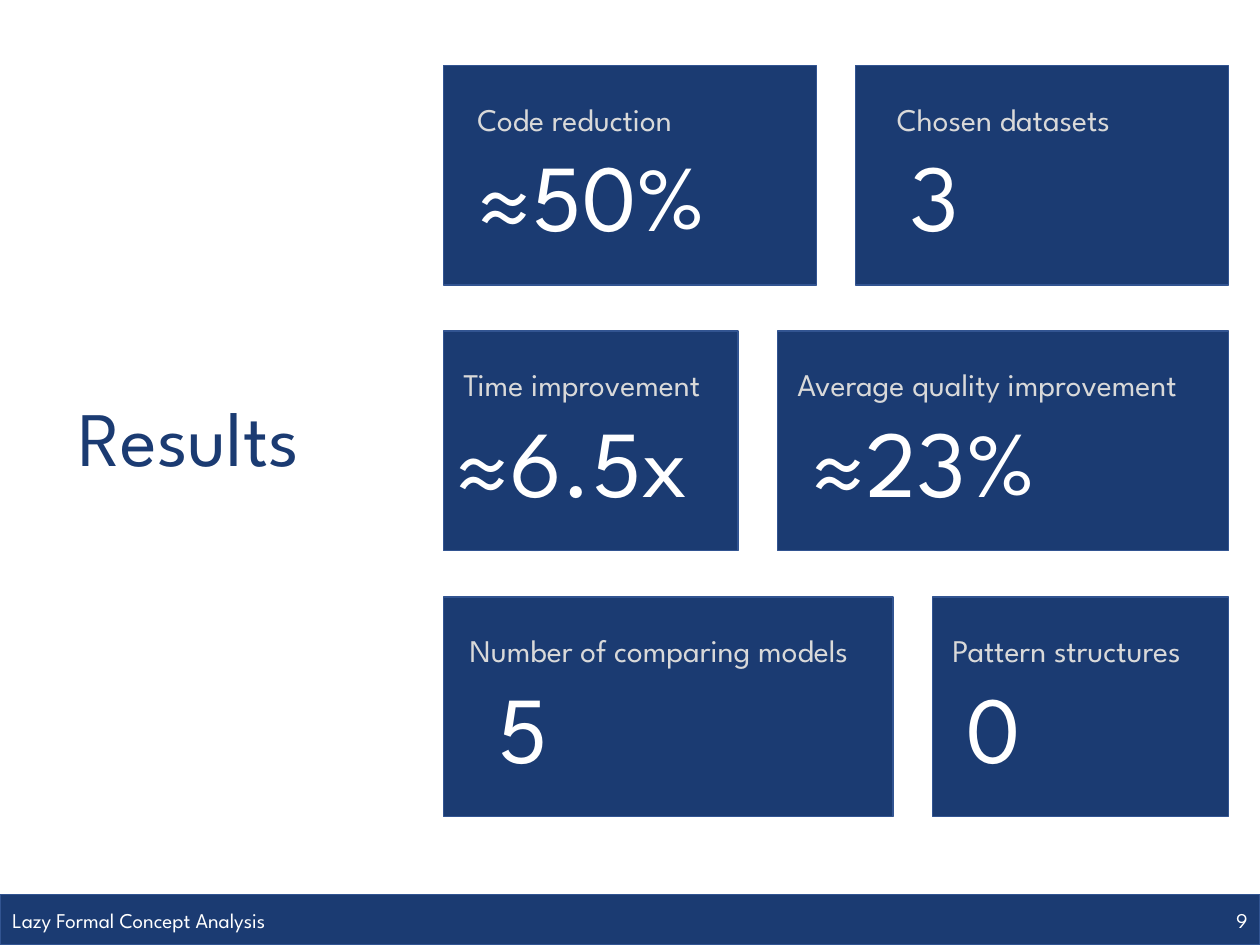
from pptx import Presentation
from pptx.dml.color import RGBColor
from pptx.enum.shapes import MSO_SHAPE
from pptx.enum.text import MSO_ANCHOR, PP_ALIGN
from pptx.util import Inches, Pt

RECTANGLE = MSO_SHAPE.RECTANGLE
MIDDLE = MSO_ANCHOR.MIDDLE
LEFT, RIGHT = PP_ALIGN.LEFT, PP_ALIGN.RIGHT

COLOURS = {"navy": "1B3B72", "edge": "325491", "label": "D9D9D9", "white": "FFFFFF"}
FONT = "League Spartan"
TITLE_ONLY = 5

GRID_LEFT, GRID_TOP, GRID_WIDTH = 3.52, 0.52, 6.23
CARD_HEIGHT, ROW_STEP, GAP = 1.74, 2.11, 0.31

# Each card: label, label indent, figure, figure indent
ROWS = [
    (2.96, [("Code reduction", 0.17, "≈50%", 0.17),
            ("Chosen datasets", 0.23, "3", 0.34)]),
    (2.34, [("Time improvement", 0.06, "≈6.5x", 0),
            ("Average quality improvement", 0.06, "≈23%", 0.17)]),
    (3.57, [("Number of comparing models", 0.11, "5", 0.34),
            ("Pattern structures", 0.06, "0", 0.17)]),
]


class SlideBuilder:
    def __init__(self, page):
        self.page = page

    def colour(self, name):
        return RGBColor.from_string(COLOURS[name])

    def style(self, para, size, colour, align=LEFT, indent=0):
        para.alignment = align
        para.font.name = FONT
        para.font.size = Pt(size)
        para.font.color.rgb = self.colour(colour)
        if indent:
            para._p.get_or_add_pPr().set("marL", str(Inches(indent)))

    def title(self, text, left, top, width, height):
        box = self.page.shapes.title
        box.left, box.top = Inches(left), Inches(top)
        box.width, box.height = Inches(width), Inches(height)
        frame = box.text_frame
        frame.text = text
        frame.vertical_anchor = MIDDLE
        para = frame.paragraphs[0]
        para.line_spacing = 0.9
        self.style(para, 44, "navy")

    def panel(self, left, top, width, height):
        box = self.page.shapes.add_shape(
            RECTANGLE, Inches(left), Inches(top), Inches(width), Inches(height))
        box.shadow.inherit = False
        box.fill.solid()
        box.fill.fore_color.rgb = self.colour("navy")
        box.line.color.rgb = self.colour("edge")
        box.line.width = Pt(1)
        return box

    def card(self, left, top, width, label, label_indent, figure, figure_indent):
        frame = self.panel(left, top, width, CARD_HEIGHT).text_frame
        frame.word_wrap = True
        frame.vertical_anchor = MIDDLE
        frame.text = f"{label}\n{figure}"
        label_para, figure_para = frame.paragraphs
        self.style(label_para, 18, "label", indent=label_indent)
        self.style(figure_para, 54, "white", indent=figure_indent)

    def caption(self, text, left, top, width, height, align=LEFT):
        box = self.page.shapes.add_textbox(
            Inches(left), Inches(top), Inches(width), Inches(height))
        frame = box.text_frame
        frame.word_wrap = True
        frame.vertical_anchor = MIDDLE
        frame.text = text
        self.style(frame.paragraphs[0], 12, "white", align)


def main():
    deck = Presentation()
    deck.slide_width, deck.slide_height = Inches(10), Inches(7.5)
    builder = SlideBuilder(deck.slides.add_slide(deck.slide_layouts[TITLE_ONLY]))

    builder.panel(0, 7.1, 10, 0.4)
    builder.title("Results", 0.52, 2.78, 2.34, 1.45)
    builder.caption("9", 7.75, 7.1, 2.25, 0.4, RIGHT)
    builder.caption("Lazy Formal Concept Analysis", 0, 7.15, 3.38, 0.3)

    for row, (first_width, cards) in enumerate(ROWS):
        left = GRID_LEFT
        for width, card in zip((first_width, GRID_WIDTH - GAP - first_width), cards):
            builder.card(left, GRID_TOP + row * ROW_STEP, width, *card)
            left += width + GAP

    deck.save("out.pptx")


if __name__ == "__main__":
    main()
